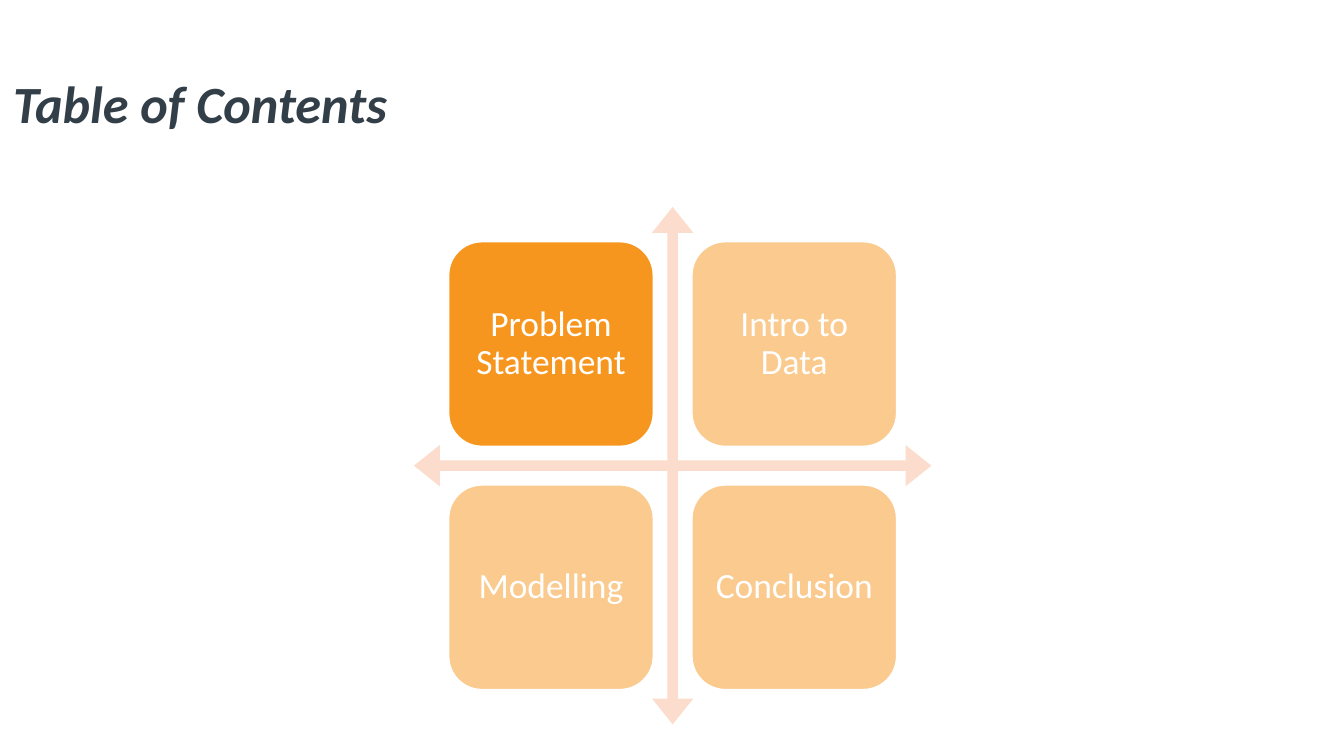
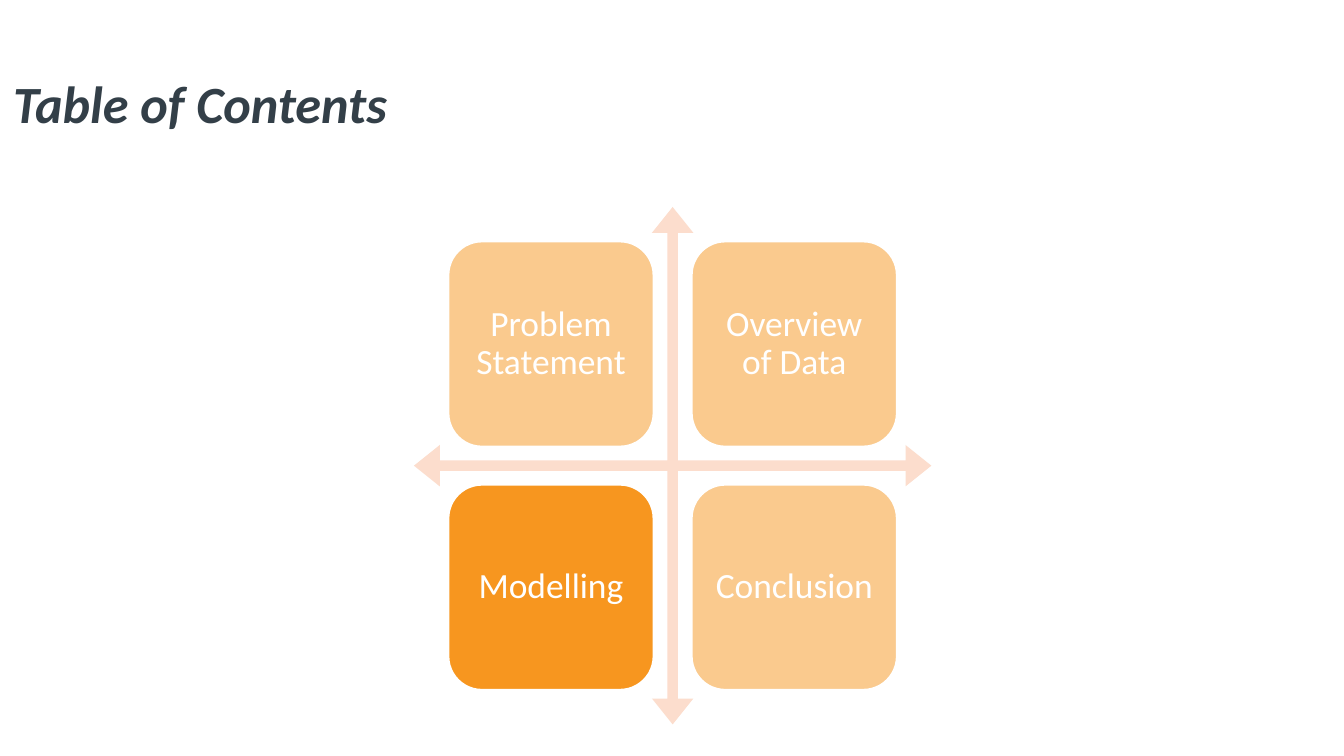
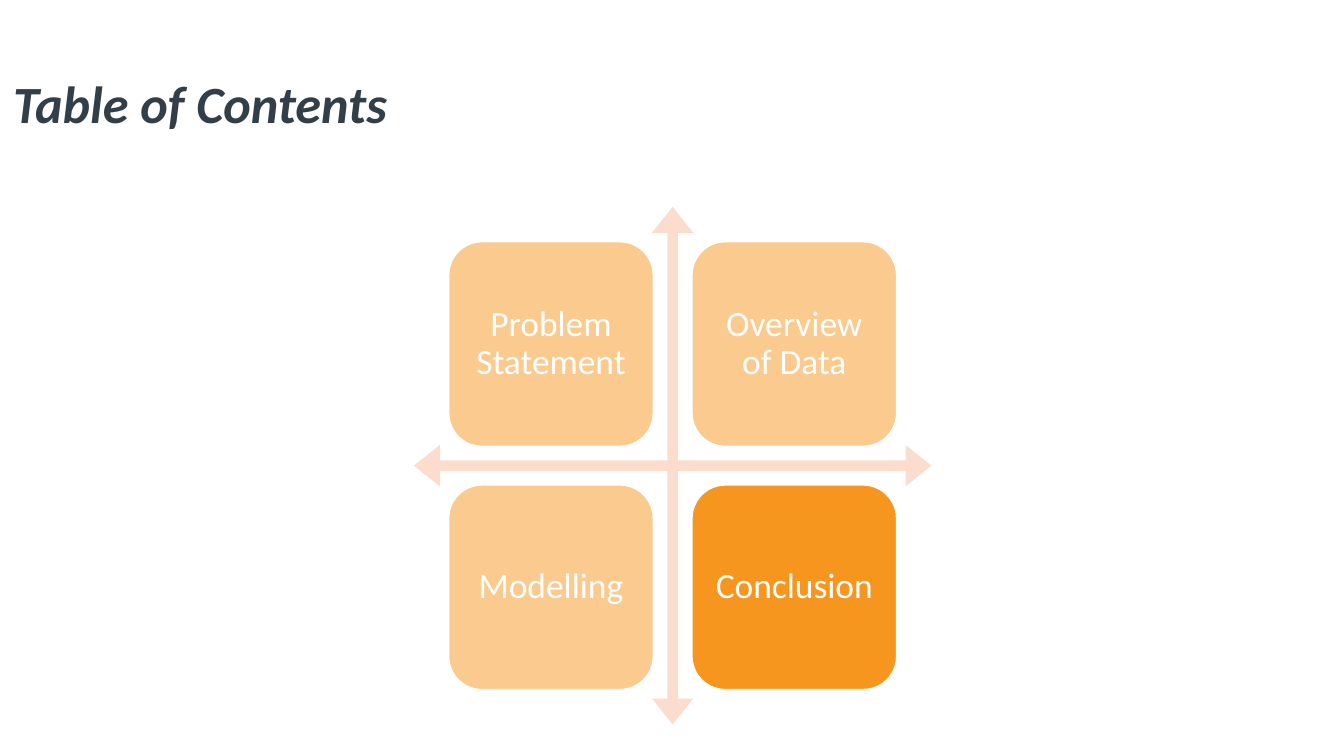
from dataclasses import dataclass

from lxml.etree import SubElement
from pptx import Presentation
from pptx.dml.color import RGBColor
from pptx.enum.shapes import MSO_SHAPE as Geo
from pptx.enum.text import MSO_ANCHOR as Anchor, PP_ALIGN as Align
from pptx.oxml.ns import qn
from pptx.util import Inches, Pt

# Page, 16 by 9
WIDTH = Inches(10)
HEIGHT = WIDTH * 9 // 16

# Shared style
FONT = "Calibri"
INK, WHITE, ORANGE, PEACH = "333F48", "FFFFFF", "F7961F", "FCDDCD"

# Grid of cards, two by two
LEFT, TOP = 3.33, 1.79
SIDE, GAP = 1.54, 0.27
COLS = 2


@dataclass(frozen=True)
class Agenda:
    """Four topics, read row by row, and the one in focus."""
    topics: tuple[str, ...]
    focus: int


FIRST = ("Problem Statement", "Intro to Data", "Modelling", "Conclusion")
LATER = ("Problem Statement", "Overview of Data", "Modelling", "Conclusion")
AGENDAS = (Agenda(FIRST, 0), Agenda(LATER, 2), Agenda(LATER, 3))


def color(code: str) -> RGBColor:
    return RGBColor.from_string(code)


def write(shape, text: str, *, size: float, ink: str, bold: bool = False,
          slant: bool = False, align=Align.LEFT, inset: float | None = None,
          lead: float = 1.0) -> None:
    """Set the text of a shape, centred vertically."""
    frame = shape.text_frame
    frame.word_wrap = True
    frame.vertical_anchor = Anchor.MIDDLE
    if inset is not None:
        frame.margin_left = frame.margin_right = Inches(inset)
        frame.margin_top = frame.margin_bottom = Inches(inset)
    para = frame.paragraphs[0]
    para.alignment, para.line_spacing = align, lead
    run = para.add_run()
    run.text = text
    font = run.font
    font.name, font.size = FONT, Pt(size)
    font.bold, font.italic = bold, slant
    font.color.rgb = color(ink)


def draw(slide, geo, left: float, top: float, side: float, fill: str,
         alpha: int = 100):
    """Add a square preset shape with a flat fill and no line."""
    shape = slide.shapes.add_shape(
        geo, Inches(left), Inches(top), Inches(side), Inches(side))
    shape.shadow.inherit = False
    shape.fill.solid()
    shape.fill.fore_color.rgb = color(fill)
    shape.line.fill.background()
    if alpha < 100:
        tint = shape.fill._xPr.find(qn("a:solidFill"))[0]
        SubElement(tint, qn("a:alpha")).set("val", str(alpha * 1000))
    return shape


def add_title(slide, text: str) -> None:
    box = slide.shapes.add_textbox(
        Inches(0), Inches(0.29), Inches(9), Inches(0.94))
    write(box, text, size=28, ink=INK, bold=True, slant=True)


def add_cross(slide) -> None:
    cross = draw(slide, Geo.QUAD_ARROW, 3.08, 1.54, 3.85, PEACH)
    for place, value in enumerate((0.02, 0.04, 0.05)):
        cross.adjustments[place] = value


def add_card(slide, place: int, topic: str, focus: bool) -> None:
    row, col = divmod(place, COLS)
    step = SIDE + GAP
    card = draw(slide, Geo.ROUNDED_RECTANGLE, LEFT + col * step,
                TOP + row * step, SIDE, ORANGE, 100 if focus else 50)
    card.line.color.rgb = color(WHITE)
    card.line.width = Pt(2)
    write(card, topic, size=19, ink=WHITE, align=Align.CENTER,
          inset=0.08, lead=0.9)


def main() -> None:
    deck = Presentation()
    deck.slide_width, deck.slide_height = WIDTH, HEIGHT
    blank = deck.slide_layouts[6]
    for agenda in AGENDAS:
        slide = deck.slides.add_slide(blank)
        add_cross(slide)
        for place, topic in enumerate(agenda.topics):
            add_card(slide, place, topic, place == agenda.focus)
        add_title(slide, "Table of Contents")
    deck.save("out.pptx")


if __name__ == "__main__":
    main()
